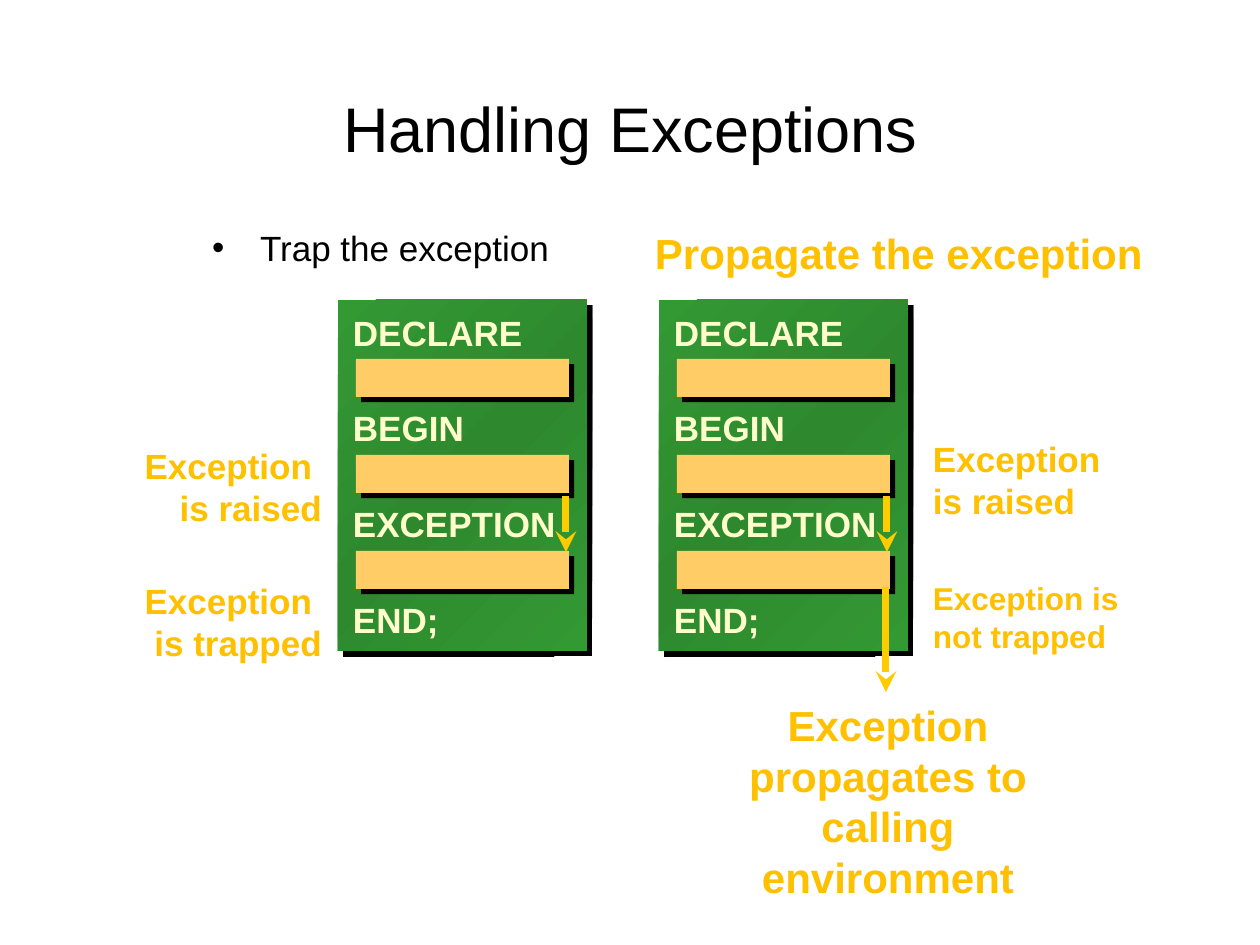
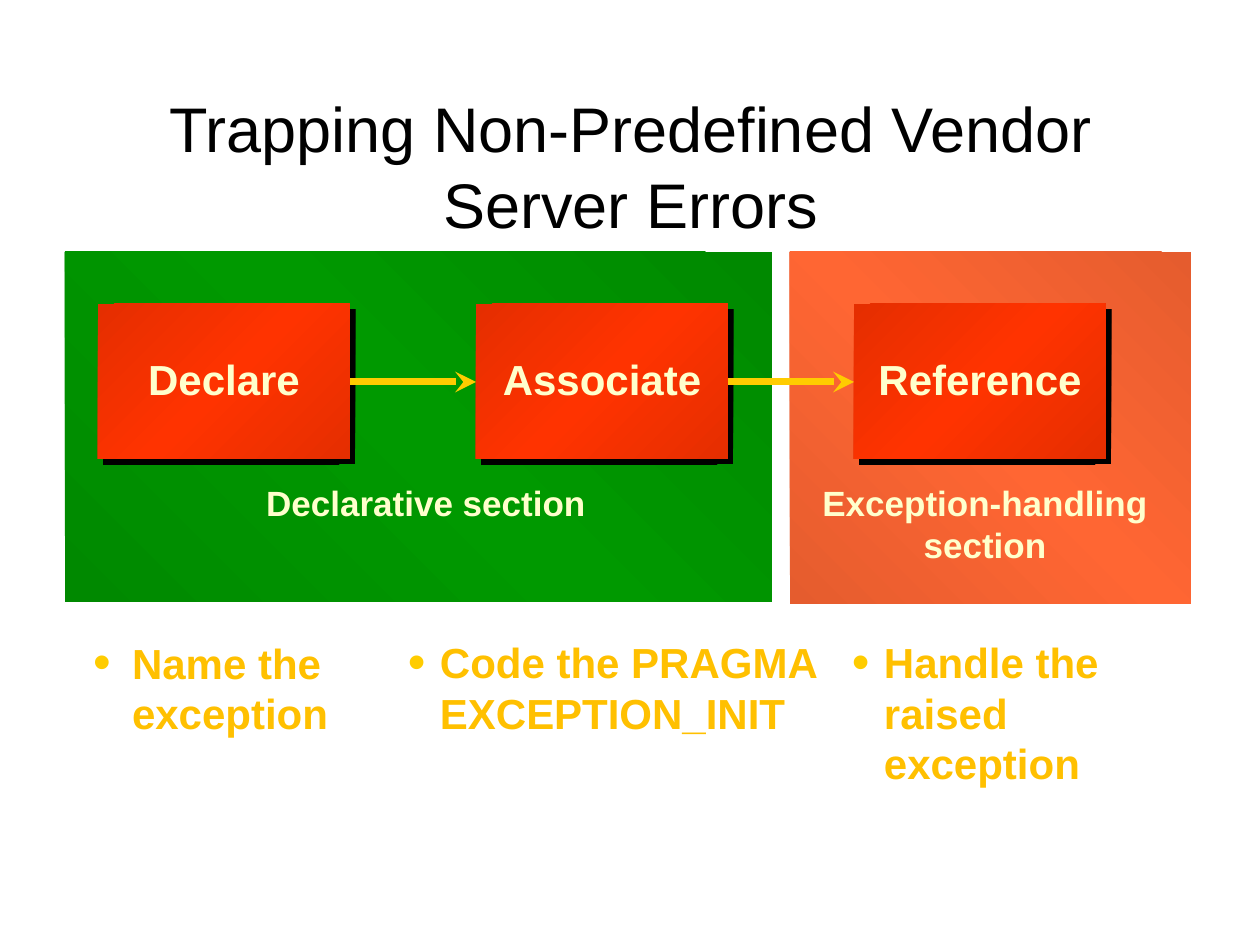
from copy import deepcopy

from lxml.etree import SubElement
from pptx import Presentation
from pptx.dml.color import RGBColor
from pptx.enum.shapes import MSO_CONNECTOR, MSO_SHAPE
from pptx.enum.text import MSO_ANCHOR, MSO_AUTO_SIZE, PP_ALIGN
from pptx.oxml.ns import qn
from pptx.util import Emu, Pt

PX = 914400 / 126
FONT = "Arial"
LEFT, CENTER, RIGHT = PP_ALIGN.LEFT, PP_ALIGN.CENTER, PP_ALIGN.RIGHT

BLACK = RGBColor(0x00, 0x00, 0x00)
AMBER = RGBColor(0xFF, 0xC0, 0x00)
YELLOW = RGBColor(0xFF, 0xCC, 0x00)
CREAM = RGBColor(0xFF, 0xFF, 0xCC)
PEACH = RGBColor(0xFF, 0xCC, 0x66)
# Gradients: edge colour, middle colour, angle
BLOCK_GREEN = (RGBColor(0x33, 0x99, 0x33), RGBColor(0x2E, 0x89, 0x2E), 315)
STEP_RED = (RGBColor(0xE5, 0x2E, 0x00), RGBColor(0xFF, 0x33, 0x00), 315)
PANEL_GREEN = (RGBColor(0x00, 0x89, 0x00), RGBColor(0x00, 0x99, 0x00), 45)
PANEL_ORANGE = (RGBColor(0xE5, 0x5C, 0x2E), RGBColor(0xFF, 0x66, 0x33), 45)

TITLE_BOX = (95, 84, 1071, 158)

# Slide 1
HANDLING_TITLE = "Handling Exceptions"
TRAP_HEADING = "Trap the exception"
KEYWORDS = ["DECLARE", "BEGIN", "EXCEPTION", "END;"]
BLOCK_LEFTS = [338, 659]
BLOCK_TOP, BLOCK_WIDTH, BLOCK_HEIGHT = 300, 249, 351
SECTION_PITCH = 96
# text, box, size, alignment
CAPTIONS = [
    ("Propagate the exception", (643, 222, 542, 60), 24, LEFT),
    ("Exception \vis raised", (122, 438, 212, 97), 20, RIGHT),
    ("Exception \nis trapped", (122, 573, 212, 97), 20, RIGHT),
    ("Exception \vis raised", (921, 431, 212, 97), 20, LEFT),
    ("Exception is\nnot trapped", (921, 573, 212, 88), 18, LEFT),
    ("Exception propagates to calling environment",
     (714, 694, 348, 214), 24, CENTER),
]

# Slide 2
TRAPPING_TITLE = "Trapping Non-Predefined Vendor Server Errors"
# label, panel box, gradient, label box
PANELS = [
    ("Declarative section", (65, 252, 707, 350), PANEL_GREEN,
     (246, 475, 360, 54)),
    ("Exception-handling\nsection", (790, 252, 401, 352), PANEL_ORANGE,
     (805, 475, 360, 97)),
]
# step, action, action box, bullet indent
STEPS = [
    ("Declare", "Name the exception", (81, 631, 297, 96), 39),
    ("Associate", "Code the PRAGMA EXCEPTION_INIT", (396, 631, 451, 150), 32),
    ("Reference", "Handle the raised exception", (840, 631, 329, 151), 32),
]
STEP_LEFT, STEP_TOP, STEP_PITCH = 98, 304, 378
STEP_WIDTH, STEP_HEIGHT = 252, 155


def px(*lengths):
    return [Emu(round(length * PX)) for length in lengths]


def write(frame, text, size, color, bold=True, align=LEFT, inset=(12, 6)):
    side, edge = px(*inset)
    frame_format = {
        "text": text, "word_wrap": True, "auto_size": MSO_AUTO_SIZE.NONE,
        "margin_left": side, "margin_right": side,
        "margin_top": edge, "margin_bottom": edge,
    }
    for name, value in frame_format.items():
        setattr(frame, name, value)
    font_format = {"name": FONT, "size": Pt(size), "bold": bold}
    for paragraph in frame.paragraphs:
        paragraph.alignment = align
        for run in paragraph.runs:
            for name, value in font_format.items():
                setattr(run.font, name, value)
            run.font.color.rgb = color


def add_text(slide, box, *args, **kwargs):
    frame = slide.shapes.add_textbox(*px(*box)).text_frame
    write(frame, *args, **kwargs)
    return frame


def add_bullet(frame, indent, color, percent=100):
    properties = frame.paragraphs[0]._p.get_or_add_pPr()
    hang = px(indent)[0]
    properties.set("marL", str(hang))
    properties.set("indent", str(-hang))
    tint = SubElement(properties, qn("a:buClr"))
    SubElement(tint, qn("a:srgbClr"), val=str(color))
    SubElement(properties, qn("a:buSzPct"), val=str(percent * 1000))
    SubElement(properties, qn("a:buFont"), typeface=FONT)
    SubElement(properties, qn("a:buChar"), char="•")


def add_box(slide, box, paint, shadow=True):
    """Add a borderless rectangle with a solid or a three-stop gradient fill."""
    shape = slide.shapes.add_shape(MSO_SHAPE.RECTANGLE, *px(*box))
    shape.line.fill.background()
    shape.shadow.inherit = False
    properties = shape._element.spPr
    if isinstance(paint, RGBColor):
        shape.fill.solid()
        shape.fill.fore_color.rgb = paint
    else:
        edge, middle, angle = paint
        shape.fill.gradient()
        shape.fill.gradient_angle = angle
        stop_list = properties.find(".//" + qn("a:gsLst"))
        stop_list.append(deepcopy(stop_list[0]))
        stops = zip(shape.fill.gradient_stops, (0, 0.5, 1), (edge, middle, edge))
        for stop, position, color in stops:
            stop.position = position
            stop.color.rgb = color
    if shadow:
        cast = SubElement(properties.find(qn("a:effectLst")), qn("a:outerShdw"),
                          blurRad="0", dist=str(Pt(4.2)), dir="2700000",
                          algn="ctr", rotWithShape="0")
        SubElement(cast, qn("a:srgbClr"), val=str(BLACK))
    return shape


def add_arrow(slide, *ends):
    arrow = slide.shapes.add_connector(MSO_CONNECTOR.STRAIGHT, *px(*ends))
    arrow.line.color.rgb = YELLOW
    arrow.line.width = Pt(4)
    SubElement(arrow.line._get_or_add_ln(), qn("a:tailEnd"), type="stealth")
    SubElement(arrow._element.spPr, qn("a:effectLst"))


def add_titled_slide(deck, title):
    slide = deck.slides.add_slide(deck.slide_layouts[5])
    holder = slide.shapes.title
    for name, value in zip(("left", "top", "width", "height"), px(*TITLE_BOX)):
        setattr(holder, name, value)
    write(holder.text_frame, title, 36, BLACK, bold=False, align=CENTER)
    holder.text_frame.vertical_anchor = MSO_ANCHOR.TOP
    return slide


def add_code_block(slide, left):
    add_box(slide, (left, BLOCK_TOP, BLOCK_WIDTH, BLOCK_HEIGHT), BLOCK_GREEN)
    for row, keyword in enumerate(KEYWORDS):
        top = BLOCK_TOP + row * SECTION_PITCH
        if keyword != KEYWORDS[-1]:
            add_box(slide, (left + 18, top + 59, 213, 38), PEACH)
        add_text(slide, (left + 5, top + 6, 240, 52), keyword, 20, CREAM,
                 inset=(10, 5))
    add_arrow(slide, left + 228, 496, left + 228, 552)


def build_handling(deck):
    slide = add_titled_slide(deck, HANDLING_TITLE)
    heading = add_text(slide, (200, 220, 408, 56), TRAP_HEADING, 20, BLACK,
                       bold=False)
    add_bullet(heading, 48, BLACK)
    for left in BLOCK_LEFTS:
        add_code_block(slide, left)
    for text, box, size, align in CAPTIONS:
        add_text(slide, box, text, size, AMBER, align=align)
    propagation = BLOCK_LEFTS[-1] + 227
    add_arrow(slide, propagation, 587, propagation, 692)


def build_trapping(deck):
    slide = add_titled_slide(deck, TRAPPING_TITLE)
    for label, box, paint, label_box in PANELS:
        add_box(slide, box, paint, shadow=False)
        add_text(slide, label_box, label, 20, CREAM, align=CENTER)
    middle = STEP_TOP + STEP_HEIGHT // 2 + 1
    for index, (step, action, action_box, indent) in enumerate(STEPS):
        left = STEP_LEFT + index * STEP_PITCH
        card = add_box(slide, (left, STEP_TOP, STEP_WIDTH, STEP_HEIGHT), STEP_RED)
        write(card.text_frame, step, 24, CREAM, align=CENTER)
        card.text_frame.vertical_anchor = MSO_ANCHOR.MIDDLE
        card.text_frame.margin_bottom = px(12)[0]
        if index:
            add_arrow(slide, left - STEP_PITCH + STEP_WIDTH, middle, left, middle)
        action_frame = add_text(slide, action_box, action, 24, AMBER)
        add_bullet(action_frame, indent, YELLOW, 120)


def main():
    deck = Presentation()
    deck.slide_width, deck.slide_height = px(1260, 945)
    build_handling(deck)
    build_trapping(deck)
    deck.save("out.pptx")


if __name__ == "__main__":
    main()
